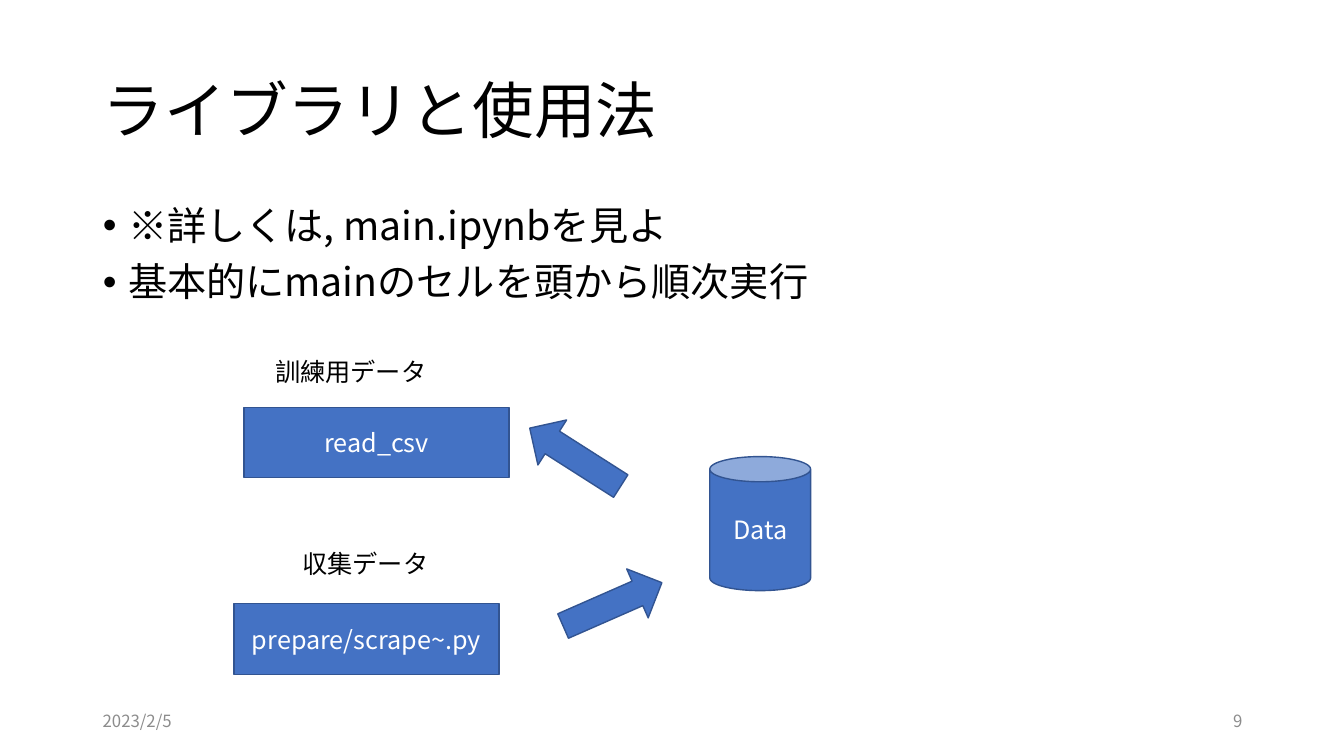
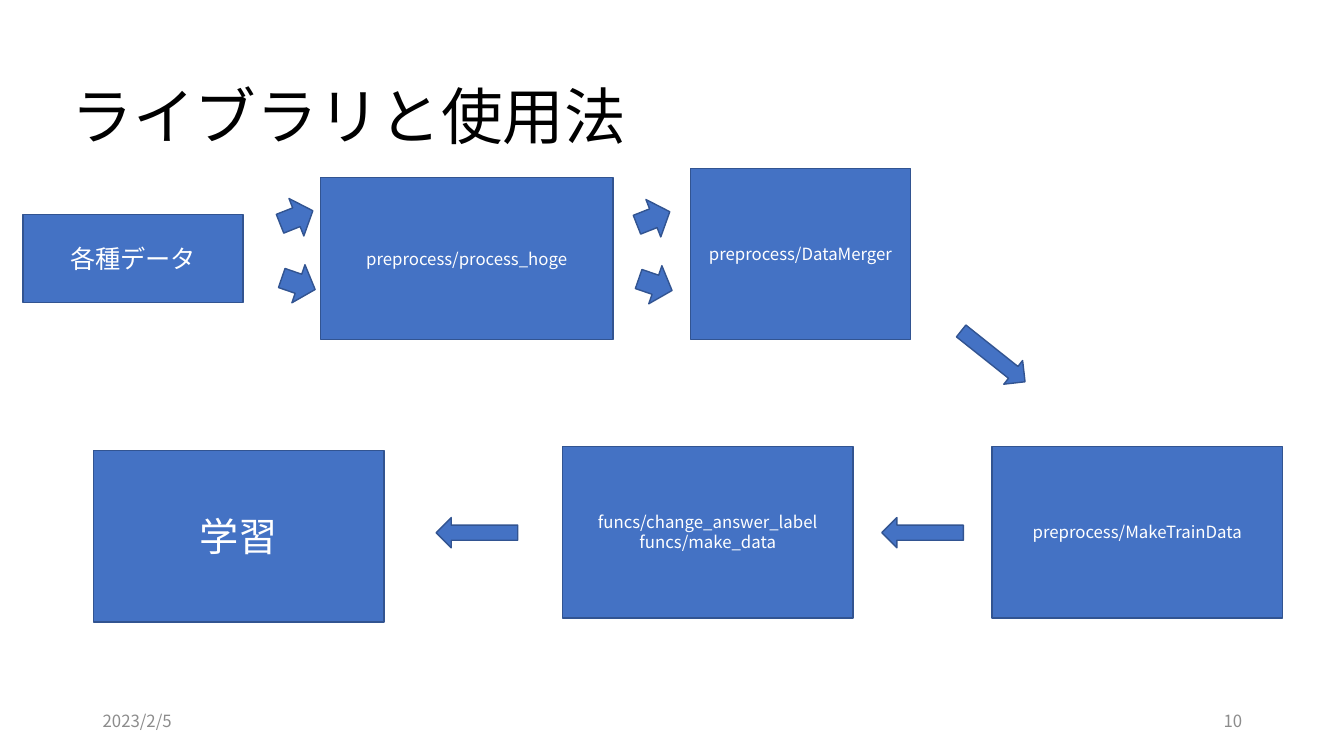
from pptx import Presentation
from pptx import util as u
from pptx.dml.color import RGBColor
from pptx.enum import shapes, text
from lxml import etree

PX = 9144  # 100 px to the inch
FONT = "Noto Sans CJK JP"
COLS = {"ink": "000000", "grey": "8C8C8C", "blue": "4472C4",
        "edge": "325491", "white": "FFFFFF"}
NS = "{http://schemas.openxmlformats.org/drawingml/2006/main}"
KIND = shapes.MSO_SHAPE
LEFT, MID, RIGHT = text.PP_ALIGN.LEFT, text.PP_ALIGN.CENTER, text.PP_ALIGN.RIGHT
TOP, CENTRE = text.MSO_ANCHOR.TOP, text.MSO_ANCHOR.MIDDLE


def write(shape, words, size, col="ink", align=LEFT, anchor=CENTRE, wrap=True):
    frame = shape.text_frame
    frame.text = words
    frame.word_wrap = wrap
    frame.vertical_anchor = anchor
    for para in frame.paragraphs:
        para.alignment = align
        for run in para.runs:
            run.font.size = u.Pt(size)
            run.font.color.rgb = RGBColor.from_string(COLS[col])
            run.font.name = FONT
            etree.SubElement(run.font._element, NS + "ea", typeface=FONT)


def draw(slide, kind, box, words="", size=18, turn=0):
    shape = slide.shapes.add_shape(kind, *[n * PX for n in box])
    shape.rotation = turn
    shape.shadow.inherit = False
    shape.fill.solid()
    shape.fill.fore_color.rgb = RGBColor.from_string(COLS["blue"])
    shape.line.color.rgb = RGBColor.from_string(COLS["edge"])
    shape.line.width = u.Pt(1)
    if words:
        write(shape, words, size, "white", MID)


deck = Presentation()
deck.slide_width, deck.slide_height = 1333 * PX, 750 * PX

# Shared title and footer: layout, title left and top, page number
pages = []
for layout, left, top, number in [(1, 92, 40, "9"), (5, 61, 46, "10")]:
    slide = deck.slides.add_slide(deck.slide_layouts[layout])
    title = slide.shapes.title
    title.left, title.top = left * PX, top * PX
    title.width, title.height = 1150 * PX, 145 * PX
    write(title, "ライブラリと使用法", 44)
    title.text_frame.paragraphs[0].line_spacing = 0.9
    for x, words, align in [(92, "2023/2/5", LEFT), (942, number, RIGHT)]:
        foot = slide.shapes.add_textbox(x * PX, 695 * PX, 300 * PX, 40 * PX)
        write(foot, words, 12, "grey", align)
    pages.append(slide)
usage, flow = pages

# Usage: bullet list
body = usage.placeholders[1]
body.left, body.top = 92 * PX, 200 * PX
body.width, body.height = 1150 * PX, 476 * PX
write(body, "※詳しくは, main.ipynbを見よ\n基本的にmainのセルを頭から順次実行", 28, anchor=TOP)
for para in body.text_frame.paragraphs:
    para.line_spacing = 0.9
    para.space_before = u.Pt(10)
    props = para._p.get_or_add_pPr()
    props.set("marL", str(25 * PX))
    props.set("indent", str(-25 * PX))
    etree.SubElement(props, NS + "buFont", typeface="Arial")
    etree.SubElement(props, NS + "buChar", char="•")

# Usage: data store, scripts and their captions
draw(usage, KIND.CAN, (704, 453, 100, 133), "Data")
for x, y, words in [(242, 404, "read_csv"), (232, 599, "prepare/scrape~.py")]:
    draw(usage, KIND.RECTANGLE, (x, y, 263, 70), words)
for x, y, turn in [(544, 400, 122.5), (581, 546, 246.3)]:
    draw(usage, KIND.DOWN_ARROW, (x, y, 53, 107), turn=turn)
for x, y, wide, words in [(263, 349, 172, "訓練用データ"), (290, 539, 146, "収集データ")]:
    note = usage.shapes.add_textbox(x * PX, y * PX, wide * PX, 40 * PX)
    write(note, words, 18, anchor=TOP, wrap=False)

# Flow: steps
for box, words, size in [
    ((23, 213, 218, 87), "各種データ", 18),
    ((318, 176, 290, 161), "preprocess/process_hoge", 12),
    ((685, 167, 218, 170), "preprocess/DataMerger", 12),
    ((984, 443, 288, 170), "preprocess/MakeTrainData", 12),
    ((558, 443, 288, 170), "funcs/change_answer_label\nfuncs/make_data", 12),
    ((93, 447, 288, 170), "学習", 28),
]:
    draw(flow, KIND.RECTANGLE, box, words, size)

# Flow: paired short arrows, then long arrows
for x, y in [(274, 198), (628, 199)]:
    for dx, dy, turn in [(0, 0, 248.4), (2, 66, 289)]:
        draw(flow, KIND.DOWN_ARROW, (x + dx, y + dy, 40, 35), turn=turn)
for x, y, turn in [(970, 313, 308.5), (900, 488, 90), (458, 488, 90)]:
    draw(flow, KIND.DOWN_ARROW, (x, y, 30, 81), turn=turn)

deck.save("out.pptx")
